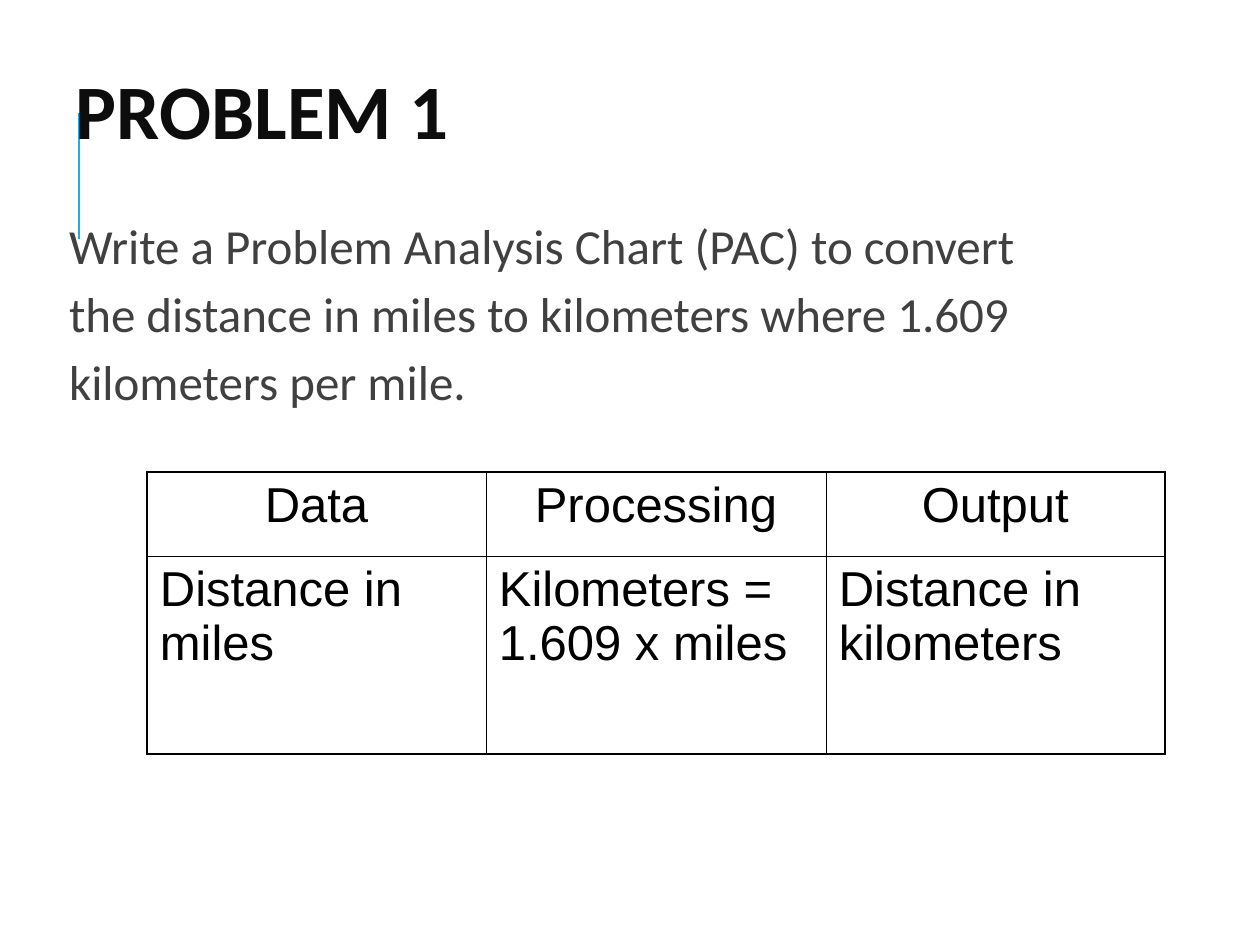
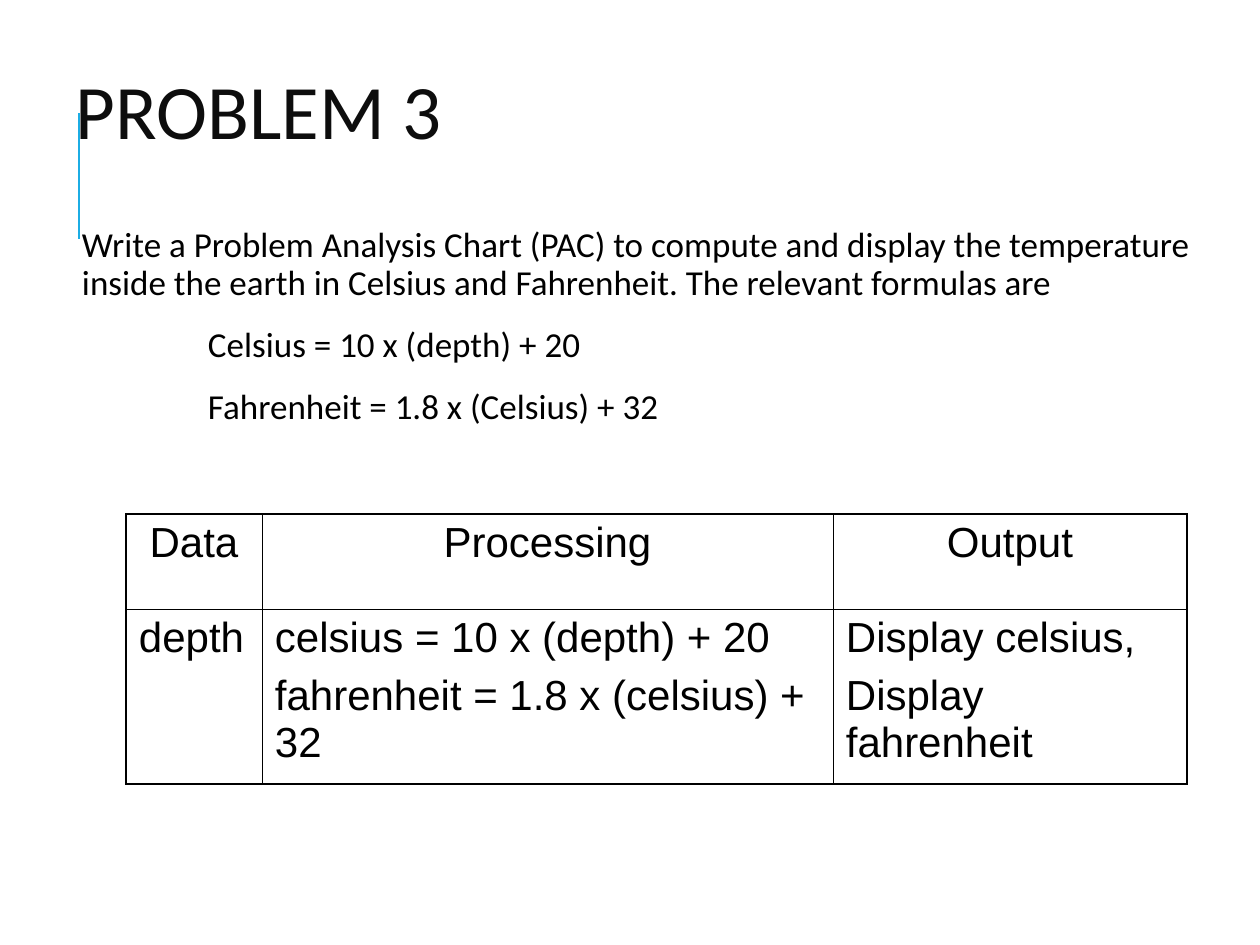
from dataclasses import dataclass

from lxml.etree import SubElement
from pptx import Presentation
from pptx.dml.color import RGBColor
from pptx.enum.shapes import MSO_CONNECTOR as Connector
from pptx.enum.text import MSO_ANCHOR as Anchor, PP_ALIGN as Align
from pptx.oxml.ns import qn
from pptx.util import Emu, Pt


@dataclass(frozen=True)
class Theme:
    accent: str = "1CADE4"
    heading: str = "0D0D0D"
    soft: str = "404040"
    ink: str = "000000"
    text_face: str = "Calibri"
    table_face: str = "Arial"
    title_size: int = 44
    accent_width: float = 1.5
    outer_border: float = 1.08
    inner_border: float = 0.45


THEME = Theme()
SLIDE = (1260, 945)
TITLE_BOX = (63, 38, 1134, 158)
ACCENT_LINE = (79, 239, 79, 113)
SIDE_INSET, EDGE_INSET = 13, 6
HEADERS = ["Data", "Processing", "Output"]

PROBLEMS = [
    {
        "title": "PROBLEM 1",
        "bold": True,
        "task_box": (63, 221, 1113, 210),
        "task": [
            "Write a Problem Analysis Chart (PAC) to convert",
            "the distance in miles to kilometers where 1.609",
            "kilometers per mile.",
        ],
        "task_format": {"size": 28, "color": THEME.soft, "spacing": 0.8, "before": 12},
        "chart_at": (147, 472),
        "columns": [339, 340, 339],
        "rows": [84, 198],
        "analysis": [["Distance in miles"], ["Kilometers = 1.609 x miles"], ["Distance in kilometers"]],
        "chart_format": {"size": 28, "before": 7},
    },
    {
        "title": "PROBLEM 3",
        "bold": False,
        "task_box": (63, 221, 1155, 262),
        "task": [
            "Write a Problem Analysis Chart (PAC) to compute and display the temperature "
            "inside the earth in Celsius and Fahrenheit. The relevant formulas are",
            "Celsius = 10 x (depth) + 20",
            "Fahrenheit = 1.8 x (Celsius) + 32",
        ],
        "task_format": {"size": 20, "color": THEME.ink, "spacing": 0.9, "before": 12,
                        "after": 2, "indents": (13, 139, 139)},
        "chart_at": (126, 514),
        "columns": [136, 571, 354],
        "rows": [95, 175],
        "analysis": [
            ["depth"],
            ["celsius = 10 x (depth) + 20", "fahrenheit = 1.8 x (celsius) + 32"],
            ["Display celsius,", "Display fahrenheit"],
        ],
        "chart_format": {"size": 24, "before": 6},
    },
]


def px(length):
    return Emu(round(length * 914400 / 126))


def write(frame, lines, *, size, color, face=THEME.text_face, bold=False, align=Align.LEFT,
          spacing=1.0, before=0, after=0, indents=()):
    for index, line in enumerate(lines):
        paragraph = frame.add_paragraph() if index else frame.paragraphs[0]
        if indents:
            paragraph._p.get_or_add_pPr().set("marL", str(px(indents[index])))
        paragraph.text = line
        paragraph.alignment = align
        paragraph.line_spacing = spacing
        paragraph.space_before = Pt(before if index else 0)
        paragraph.space_after = Pt(after)
        font = paragraph.font
        font.name, font.size, font.bold = face, Pt(size), bold
        font.color.rgb = RGBColor.from_string(color)


def add_text(slide, box, lines, inset, anchor=Anchor.TOP, **text_format):
    frame = slide.shapes.add_textbox(*map(px, box)).text_frame
    frame.word_wrap = True
    frame.vertical_anchor = anchor
    frame.margin_left = frame.margin_right = px(inset)
    frame.margin_top = frame.margin_bottom = px(EDGE_INSET)
    write(frame, lines, **text_format)


def add_accent(slide):
    accent = slide.shapes.add_connector(Connector.STRAIGHT, *map(px, ACCENT_LINE))
    accent.line.color.rgb = RGBColor.from_string(THEME.accent)
    accent.line.width = Pt(THEME.accent_width)
    SubElement(accent._element.spPr, qn("a:effectLst"))


def add_borders(cell, outer_sides):
    properties = cell._tc.get_or_add_tcPr()
    for side, is_outer in outer_sides.items():
        width = THEME.outer_border if is_outer else THEME.inner_border
        border = SubElement(properties, qn(f"a:ln{side}"), w=str(Pt(width)))
        fill = SubElement(border, qn("a:solidFill"))
        SubElement(fill, qn("a:srgbClr"), val=THEME.ink)


def add_analysis_chart(slide, problem):
    columns, rows = problem["columns"], problem["rows"]
    content = [[[header] for header in HEADERS], problem["analysis"]]
    bounds = (*problem["chart_at"], sum(columns), sum(rows))
    analysis = slide.shapes.add_table(len(rows), len(columns), *map(px, bounds)).table
    analysis.first_row = analysis.horz_banding = False
    for column, width in zip(analysis.columns, columns):
        column.width = px(width)
    for r, (height, entries) in enumerate(zip(rows, content)):
        analysis.rows[r].height = px(height)
        for c, lines in enumerate(entries):
            cell = analysis.cell(r, c)
            cell.margin_left = cell.margin_right = px(SIDE_INSET)
            cell.margin_top = cell.margin_bottom = px(EDGE_INSET)
            add_borders(cell, {"L": c == 0, "R": c == len(columns) - 1,
                               "T": r == 0, "B": r == len(rows) - 1})
            cell.fill.background()
            write(cell.text_frame, lines, color=THEME.ink, face=THEME.table_face,
                  align=Align.LEFT if r else Align.CENTER, **problem["chart_format"])


def main():
    deck = Presentation()
    deck.slide_width, deck.slide_height = map(px, SLIDE)
    for problem in PROBLEMS:
        slide = deck.slides.add_slide(deck.slide_layouts[6])
        add_accent(slide)
        add_text(slide, TITLE_BOX, [problem["title"]], SIDE_INSET, Anchor.MIDDLE,
                 size=THEME.title_size, color=THEME.heading, bold=problem["bold"], spacing=0.8)
        add_text(slide, problem["task_box"], problem["task"], EDGE_INSET, **problem["task_format"])
        add_analysis_chart(slide, problem)
    deck.save("out.pptx")


if __name__ == "__main__":
    main()
